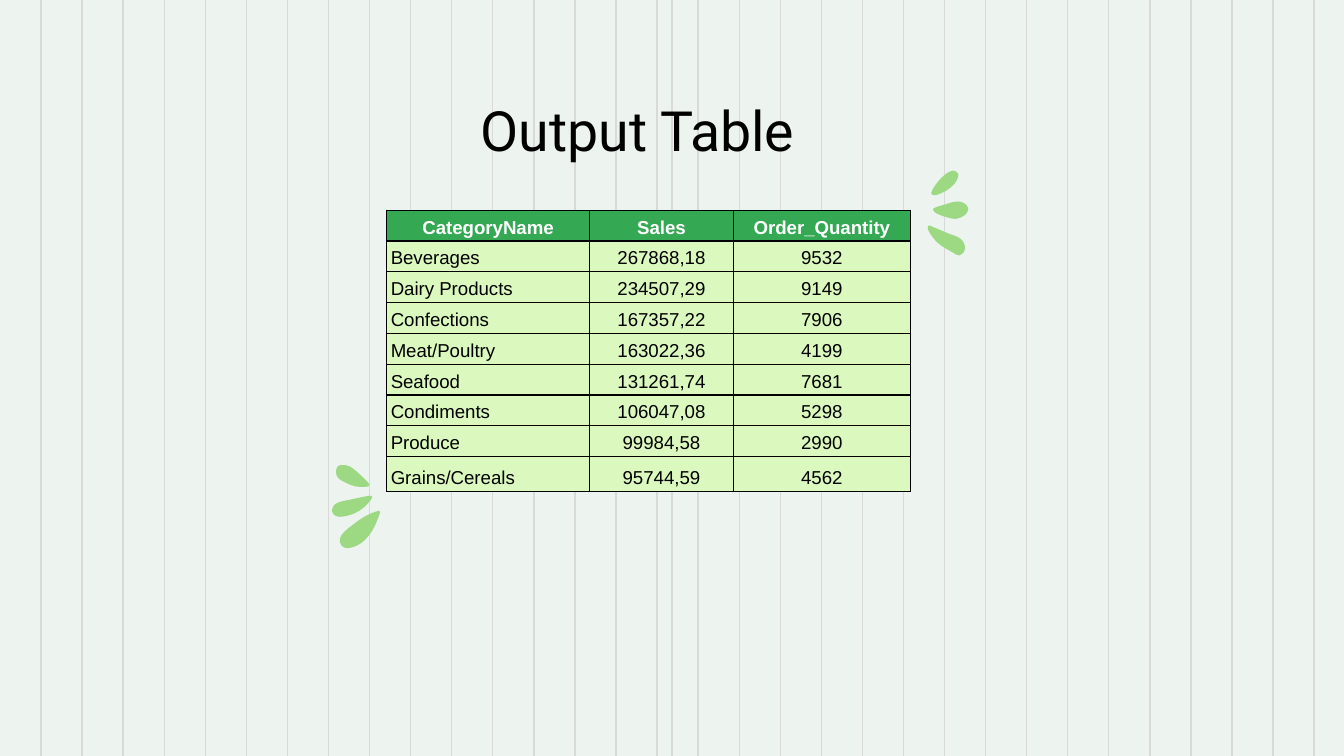
from math import dist

from lxml import etree
from pptx import Presentation
from pptx.dml.color import RGBColor
from pptx.enum.shapes import MSO_CONNECTOR
from pptx.enum.text import MSO_ANCHOR, MSO_AUTO_SIZE, PP_ALIGN
from pptx.oxml.ns import qn
from pptx.util import Pt

STRAIGHT = MSO_CONNECTOR.STRAIGHT
TOP, BOTTOM = MSO_ANCHOR.TOP, MSO_ANCHOR.BOTTOM
LEFT, CENTER = PP_ALIGN.LEFT, PP_ALIGN.CENTER
NO_AUTOFIT = MSO_AUTO_SIZE.NONE

WIDTH, HEIGHT = 720, 405
TITLE_ONLY = 5
STRIPE_GAP = 22
FIRST_STRIPE_ID = 100

ROWS = [
    ("CategoryName", "Sales", "Order_Quantity"),
    ("Beverages", "267868,18", "9532"),
    ("Dairy Products", "234507,29", "9149"),
    ("Confections", "167357,22", "7906"),
    ("Meat/Poultry", "163022,36", "4199"),
    ("Seafood", "131261,74", "7681"),
    ("Condiments", "106047,08", "5298"),
    ("Produce", "99984,58", "2990"),
    ("Grains/Cereals", "95744,59", "4562"),
]
COLUMN_WIDTHS = (108.7, 77.1, 94.8)
ROW_HEIGHTS = [16.5] * 8 + [18.7]

RIGHT_PETALS = [
    [(0.5, 29.5), (2.9, 30.2), (11.5, 33.8), (18, 36.7), (20.2, 42),
     (17.3, 45.4), (13.7, 43.9), (5.8, 38.9), (0.7, 32.4)],
    [(4.3, 19.8), (10.1, 18), (15.1, 16.6), (19.4, 17.3), (21.9, 20.2),
     (20.2, 23.8), (15.1, 25.9), (9.7, 24.8), (5, 23), (3, 21)],
    [(2.2, 11.5), (5, 6.8), (9.4, 2.2), (13.7, 0), (16.3, 1.4),
     (16.4, 3.6), (14.4, 7.2), (10, 10.8), (5, 13), (2.7, 13)],
]
LEFT_PETALS = [
    [(25.9, 25.2), (25.2, 27.4), (21.6, 35.3), (15.8, 41.8), (8.6, 44.6),
     (5.2, 43.2), (4.3, 39.6), (6.5, 36), (10.8, 32.4), (18, 27.4), (25.2, 24.5)],
    [(21.6, 17.3), (20.9, 18.7), (17.3, 22.7), (12.2, 25.9), (5.8, 27.7), (2.2, 27.4),
     (0.2, 25.2), (0.7, 22.3), (3.2, 20.2), (9.4, 18.7), (19.4, 16.6), (21.2, 16.6)],
    [(20.2, 10.8), (19.4, 9.4), (15.8, 5.8), (9.4, 0.7), (5, 0), (2.9, 1.1),
     (2.2, 4.3), (3.6, 7.2), (7.2, 9.4), (12.6, 11.5), (18, 11.7), (19.4, 11.5)],
]


def color(value):
    """Return the colour for a hex string."""
    return RGBColor.from_string(value)


def add_run(paragraph, text, font, size, text_color, bold=False):
    """Add one formatted run to a paragraph."""
    run = paragraph.add_run()
    run.text = text
    run.font.name = font
    run.font.size = Pt(size)
    run.font.bold = bold
    run.font.color.rgb = color(text_color)


def add_master_stripes(slide, master, left, top, width, height):
    """Rule the master's box with even vertical lines and a centre line."""
    positions = [left + x for x in range(STRIPE_GAP, width, STRIPE_GAP)]
    for index, x in enumerate(positions + [left + width / 2]):
        line = slide.shapes.add_connector(
            STRAIGHT, Pt(x), Pt(top), Pt(x), Pt(top + height))
        line.line.color.rgb = color("D9D9D9")
        line.line.width = Pt(0.75)
        etree.SubElement(line.element.spPr, qn("a:effectLst"))
        line.element.nvCxnSpPr.cNvPr.set("id", str(FIRST_STRIPE_ID + index))
        master.shapes.element.insert(2 + index, line.element)


def place_title(slide, text, left, top, width, height):
    """Move the title placeholder into the box and write it."""
    title = slide.shapes.title
    title.left, title.top = Pt(left), Pt(top)
    title.width, title.height = Pt(width), Pt(height)
    frame = title.text_frame
    frame.word_wrap = True
    frame.auto_size = NO_AUTOFIT
    frame.vertical_anchor = TOP
    frame.margin_left = frame.margin_right = Pt(7.2)
    frame.margin_top = frame.margin_bottom = Pt(7.2)
    paragraph = frame.paragraphs[0]
    paragraph.alignment = CENTER
    add_run(paragraph, text, "Roboto", 29.7, "000000")


def handle(point, before, after, length):
    """Return a curve handle at a point, parallel to its neighbours' chord."""
    scale = length / dist(before, after)
    return tuple(p + (b - a) * scale for p, a, b in zip(point, before, after))


def round_outline(shape):
    """Turn the straight segments of a closed freeform into smooth curves."""
    outline = next(shape.element.iter(qn("a:path")))
    points = [(int(point.get("x")), int(point.get("y")))
              for point in outline.iter(qn("a:pt"))]
    for segment in outline.findall(qn("a:lnTo")):
        outline.remove(segment)
    close = outline.find(qn("a:close"))
    count = len(points)
    for index, start in enumerate(points):
        before, end, after = (points[(index + shift) % count] for shift in (-1, 1, 2))
        length = dist(start, end) / 3
        curve = etree.Element(qn("a:cubicBezTo"))
        for x, y in (handle(start, before, end, length),
                     handle(end, after, start, length), end):
            etree.SubElement(curve, qn("a:pt"), x=str(round(x)), y=str(round(y)))
        close.addprevious(curve)


def add_petals(slide, petals, left, top):
    """Draw a group of petals from the given corner."""
    group = slide.shapes.add_group_shape()
    for petal in petals:
        knots = [(Pt(left + x), Pt(top + y)) for x, y in petal]
        builder = group.shapes.build_freeform(*knots[0])
        builder.add_line_segments(knots[1:], close=False)
        builder.add_line_segments([], close=True)
        shape = builder.convert_to_shape()
        shape.shadow.inherit = False
        shape.fill.solid()
        shape.fill.fore_color.rgb = color("9DD983")
        shape.line.fill.background()
        round_outline(shape)


def add_borders(cell, line_color, width):
    """Draw a solid line on all four sides of a cell."""
    properties = cell._tc.get_or_add_tcPr()
    for side in ("a:lnL", "a:lnR", "a:lnT", "a:lnB"):
        line = etree.SubElement(properties, qn(side), w=str(Pt(width)))
        fill = etree.SubElement(line, qn("a:solidFill"))
        etree.SubElement(fill, qn("a:srgbClr"), val=line_color)


def format_cell(cell, text, is_header, alignment):
    """Fill, border and write one table cell."""
    add_borders(cell, "000000", 0.75)
    cell.fill.solid()
    cell.fill.fore_color.rgb = color("34A853" if is_header else "DBF8BE")
    cell.vertical_anchor = BOTTOM
    cell.margin_left = cell.margin_right = Pt(2.25)
    cell.margin_top = cell.margin_bottom = Pt(1.5)
    paragraph = cell.text_frame.paragraphs[0]
    paragraph.alignment = alignment
    paragraph.line_spacing = 1.15
    add_run(paragraph, text, "Arial", 10, "FFFFFF" if is_header else "000000", is_header)


def add_sales_table(slide, left, top):
    """Place the category sales table at the given corner."""
    table = slide.shapes.add_table(
        len(ROWS), len(COLUMN_WIDTHS), Pt(left), Pt(top),
        Pt(sum(COLUMN_WIDTHS)), Pt(sum(ROW_HEIGHTS))).table
    table.horz_banding = False
    for column, width in zip(table.columns, COLUMN_WIDTHS):
        column.width = Pt(width)
    for row_index, (row, height) in enumerate(zip(ROWS, ROW_HEIGHTS)):
        table.rows[row_index].height = Pt(height)
        for column_index, text in enumerate(row):
            is_header = row_index == 0
            alignment = CENTER if is_header or column_index else LEFT
            format_cell(table.cell(row_index, column_index), text, is_header, alignment)


def main():
    """Build the slide and save the presentation."""
    presentation = Presentation()
    presentation.slide_width, presentation.slide_height = Pt(WIDTH), Pt(HEIGHT)
    slide = presentation.slides.add_slide(presentation.slide_layouts[TITLE_ONLY])
    slide.background.fill.solid()
    slide.background.fill.fore_color.rgb = color("EDF3EF")
    add_master_stripes(slide, presentation.slide_master, 0, 0, WIDTH, HEIGHT)
    place_title(slide, "Output Table", 234.7, 44.2, 213.8, 45.4)
    add_petals(slide, RIGHT_PETALS, 496.8, 91.4)
    add_petals(slide, LEFT_PETALS, 177.8, 249.1)
    add_sales_table(slide, 207.1, 112.6)
    presentation.save("out.pptx")


if __name__ == "__main__":
    main()
